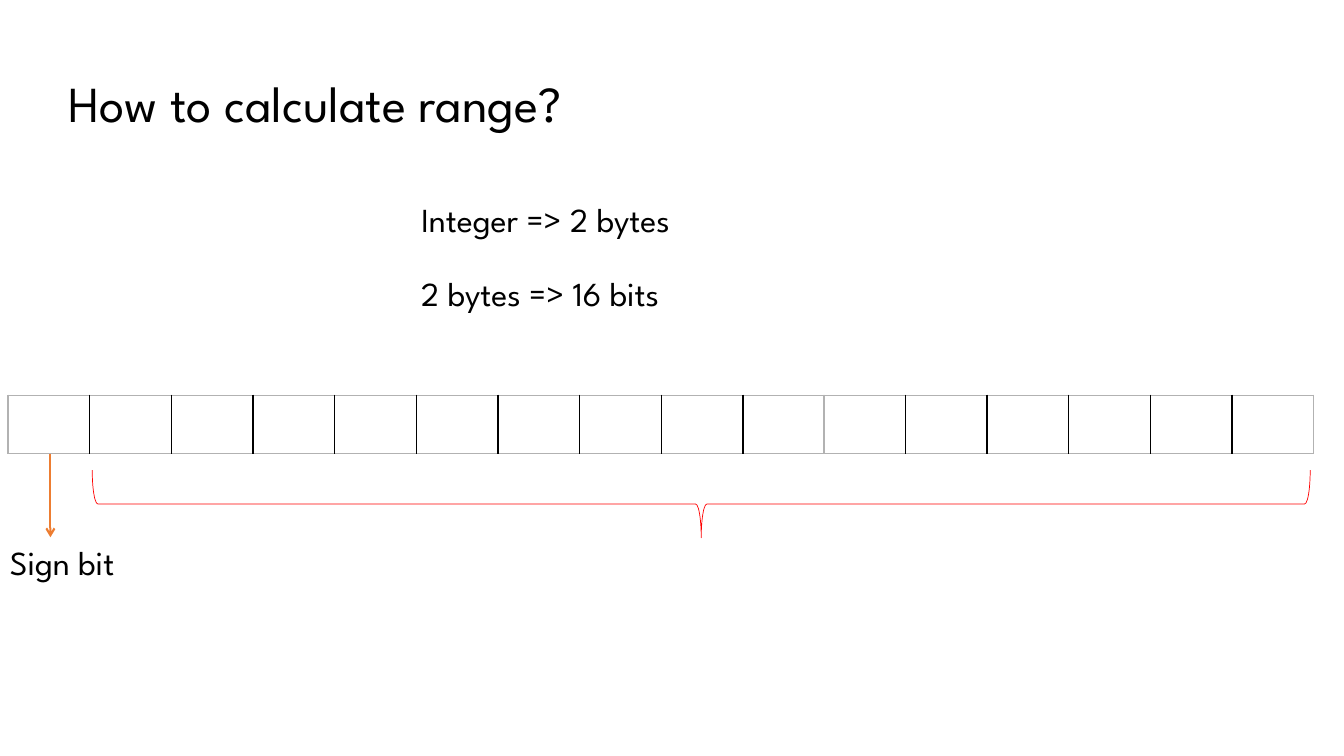
from lxml import etree
from pptx import Presentation
from pptx.dml.color import RGBColor
from pptx.enum.shapes import MSO_CONNECTOR, MSO_SHAPE
from pptx.enum.text import MSO_ANCHOR, PP_ALIGN
from pptx.oxml.ns import qn
from pptx.util import Inches, Pt

TOP = MSO_ANCHOR.TOP
LEFT = PP_ALIGN.LEFT
STRAIGHT = MSO_CONNECTOR.STRAIGHT
LEFT_BRACE = MSO_SHAPE.LEFT_BRACE
TITLE_ONLY = 5
FONT = "League Spartan"
BLACK, GREY, ORANGE, RED = "000000", "B2B2B2", "ED7D31", "FF0000"
BIT_W, BIT_H, BITS_TOP = 0.81, 0.58, 3.92


def color(value):
    return RGBColor.from_string(value)


def place(sp, left, top, width, height):
    box = {"left": left, "top": top, "width": width, "height": height}
    for name, value in box.items():
        setattr(sp, name, Inches(value))


def write(sp, text, size):
    tf = sp.text_frame
    for name, value in {"word_wrap": True, "vertical_anchor": TOP}.items():
        setattr(tf, name, value)
    p = tf.paragraphs[0]
    for name, value in {"alignment": LEFT, "line_spacing": 1.0}.items():
        setattr(p, name, value)
    r = p.add_run()
    r.text = text
    for name, value in {"name": FONT, "size": Pt(size)}.items():
        setattr(r.font, name, value)
    r.font.color.rgb = color(BLACK)


def add_title(s, text, box):
    place(s.shapes.title, *box)
    write(s.shapes.title, text, 36)


def add_label(s, text, left, top, width):
    sp = s.shapes.add_textbox(*map(Inches, (left, top, width, 0.5)))
    write(sp, text, 24)


def set_border(cell, side, value, width):
    ln = etree.SubElement(cell._tc.get_or_add_tcPr(), qn("a:" + side), w=str(Pt(width)))
    fill = etree.SubElement(ln, qn("a:solidFill"))
    etree.SubElement(fill, qn("a:srgbClr"), val=value)


def add_bits(s, left, count):
    box = (left, BITS_TOP, count * BIT_W, BIT_H)
    table = s.shapes.add_table(1, count, *map(Inches, box)).table
    for name in ("first_row", "horz_banding"):
        setattr(table, name, False)
    for i, column in enumerate(table.columns):
        column.width = Inches(BIT_W)
        cell = table.cell(0, i)
        inner = {"lnL": i > 0, "lnR": i < count - 1, "lnT": False, "lnB": False}
        for side, black in inner.items():
            set_border(cell, side, BLACK if black else GREY, 1)
        cell.fill.background()


def add_arrow(s, x, top, bottom):
    line = s.shapes.add_connector(STRAIGHT, *map(Inches, (x, top, x, bottom)))
    line.line.color.rgb = color(ORANGE)
    line.line.width = Pt(1.5)
    etree.SubElement(line.line._get_or_add_ln(), qn("a:tailEnd"), type="arrow")
    etree.SubElement(line._element.spPr, qn("a:effectLst"))


def add_brace(s, box):
    sp = s.shapes.add_shape(LEFT_BRACE, *map(Inches, box))
    sp.rotation = 270
    sp.shadow.inherit = False
    sp.fill.background()
    sp.line.color.rgb = color(RED)
    sp.line.width = Pt(0.5)


def main():
    prs = Presentation()
    prs.slide_width, prs.slide_height = Inches(13.33), Inches(7.5)
    s = prs.slides.add_slide(prs.slide_layouts[TITLE_ONLY])
    add_title(s, "How to calculate range?", (0.58, 0.67, 12.09, 0.71))
    add_label(s, "Integer => 2 bytes", 4.08, 1.92, 2.92)
    add_label(s, "2 bytes => 16 bits", 4.08, 2.66, 2.9)
    add_bits(s, 0.08, 10)
    add_bits(s, 8.17, 6)
    add_arrow(s, 0.5, BITS_TOP + BIT_H, 5.33)
    add_label(s, "Sign bit", 0, 5.33, 1.33)
    add_brace(s, (6.62, -1.04, 0.67, 12.08))
    prs.save("out.pptx")


if __name__ == "__main__":
    main()
